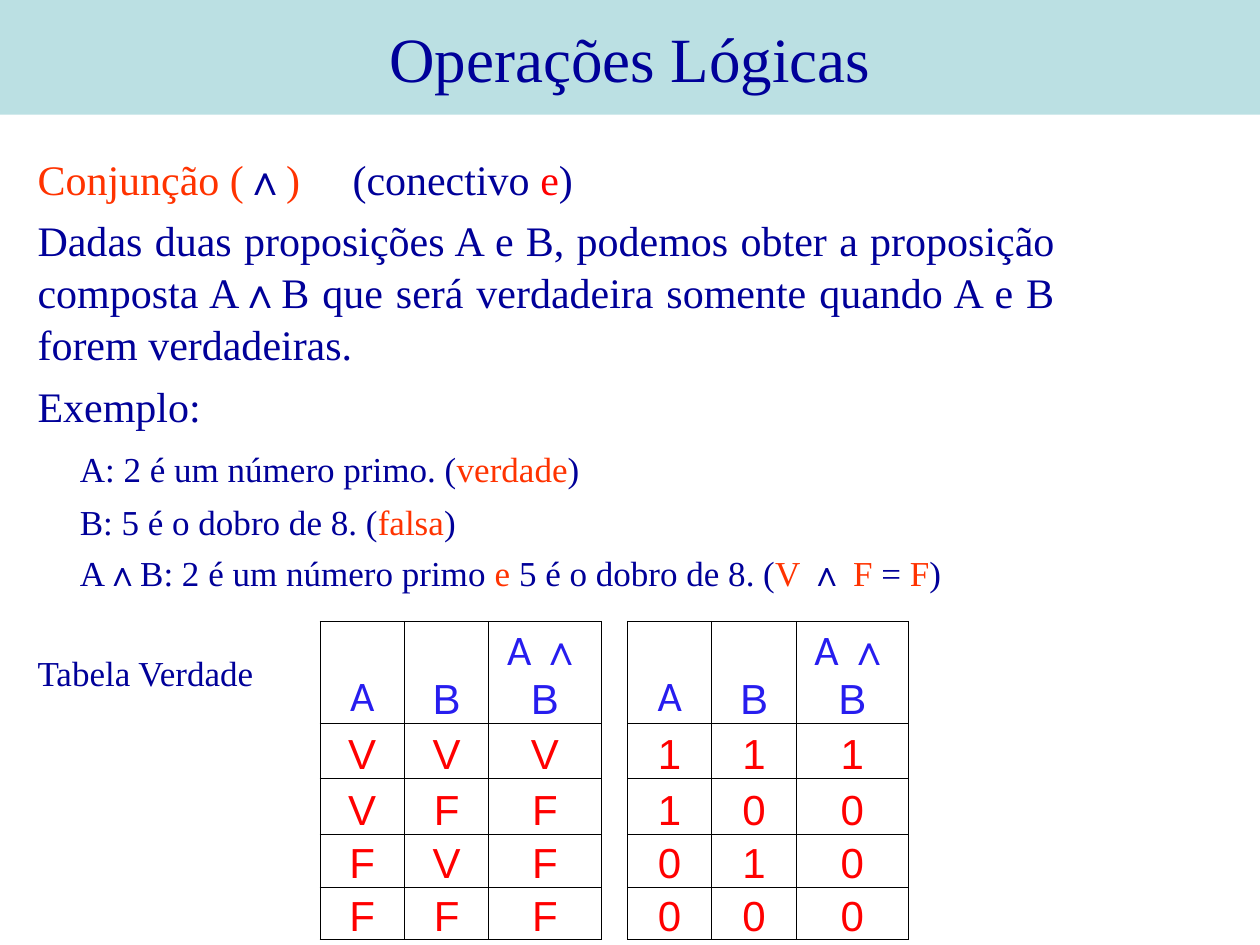
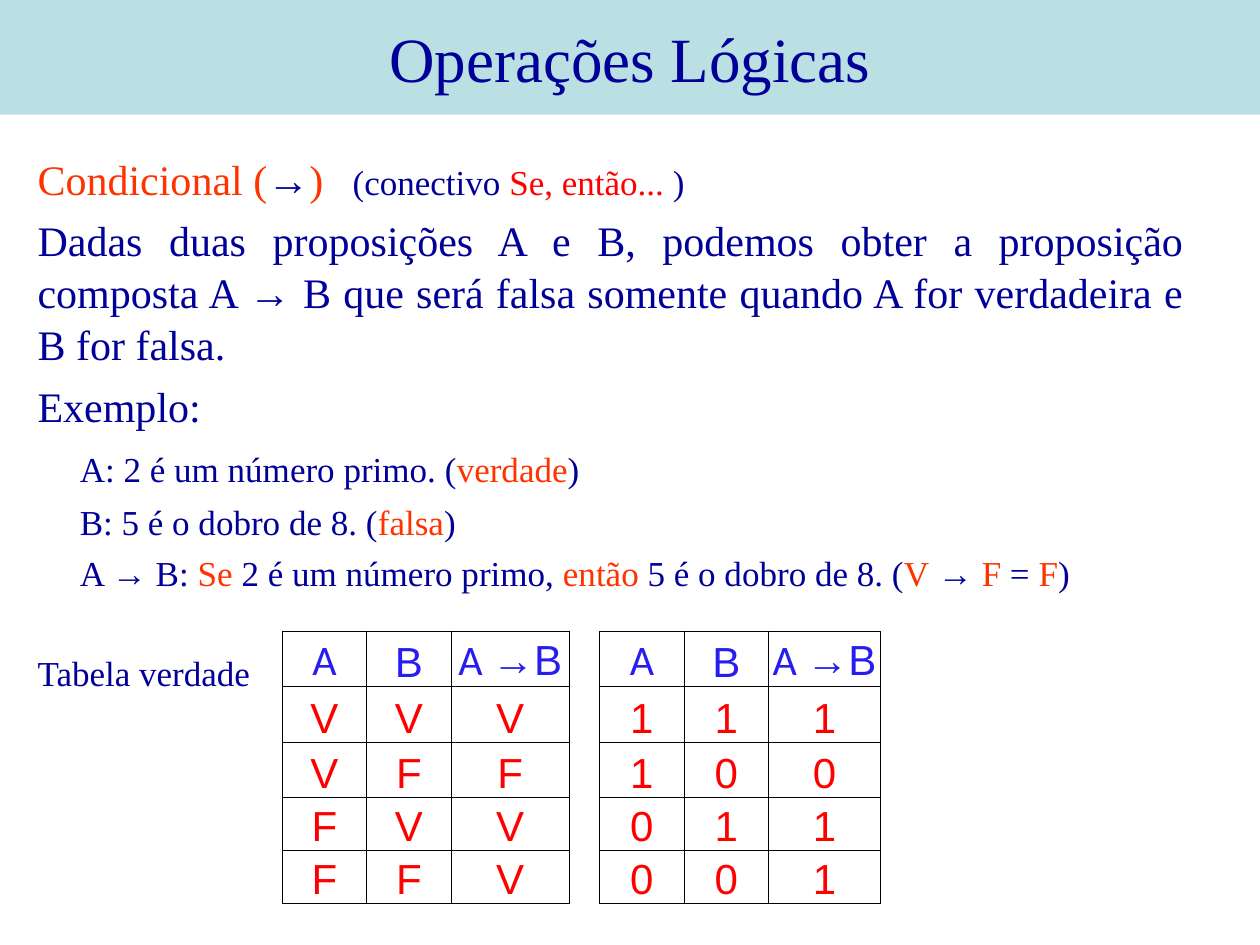
from lxml.etree import SubElement
from pptx import Presentation
from pptx.dml.color import RGBColor
from pptx.enum.shapes import MSO_SHAPE as Shape
from pptx.enum.text import MSO_ANCHOR as Anchor, PP_ALIGN as Align
from pptx.oxml.ns import qn
from pptx.util import Inches, Pt

COLORS = {"band": "BBE0E3", "navy": "000099", "orange": "FF3300",
          "red": "FF0000", "blue": "271DEF", "black": "000000"}
SERIF, SANS, HEAD = "Times New Roman", "Arial", "Calibri"

deck = Presentation()
deck.slide_width, deck.slide_height = Inches(10), Inches(7.5)
UNIT = deck.slide_width / 100  # square grid: 100 columns by 75 rows


def write(paragraph, text, size=24, color="navy", font=SERIF):
    run = paragraph.add_run()
    run.text = text
    run.font.size = Pt(size)
    run.font.name = font
    run.font.color.rgb = RGBColor.from_string(COLORS[color])


def outline(cell):
    for side in ("a:lnL", "a:lnR", "a:lnT", "a:lnB"):
        line = SubElement(cell._tc.get_or_add_tcPr(), qn(side), w=str(Pt(0.5)))
        SubElement(SubElement(line, qn("a:solidFill")), qn("a:srgbClr"), val=COLORS["black"])


# Content of each operation
premises = [
    [("A: 2 é um número primo. (", "navy"), ("verdade", "orange"), (")", "navy")],
    [("B: 5 é o dobro de 8. (", "navy"), ("falsa", "orange"), (")", "navy")],
]
operations = [
    {
        "heading": [("Conjunção (", "orange"), ("∧", "navy"), (")\t", "orange")],
        "connective": [("(conectivo ", "navy"), ("e", "red"), (")", "navy")],
        "connective_size": 24, "connective_at": 24.9,
        "definition": "Dadas duas proposições A e B, podemos obter a proposição composta "
                      "A∧B que será verdadeira somente quando A e B forem verdadeiras.",
        "compound": [("A∧B: 2 é um número primo ", "navy"), ("e", "orange"),
                     (" 5 é o dobro de 8. (", "navy"), ("V", "orange"), (" ∧ ", "navy"),
                     ("F", "orange"), (" = ", "navy"), ("F", "orange"), (")", "navy")],
        "caption": "Tabela Verdade", "formula": "∧ Β", "results": "VFFF",
        "body_size": (82.7, 41.7), "table_top": 49.3,
        "tables": [(25.4, 8.9), (49.8, 8.9)],
    },
    {
        "heading": [("Condicional (", "orange"), ("→", "navy"), (")\t", "orange")],
        "connective": [("(conectivo ", "navy"), ("Se, então... ", "red"), (")", "navy")],
        "connective_size": 20, "connective_at": 26,
        "definition": "Dadas duas proposições A e B, podemos obter a proposição composta "
                      "A → B que será falsa somente quando A for verdadeira e B for falsa.",
        "compound": [("A → B: ", "navy"), ("Se", "orange"), (" 2 é um número primo, ", "navy"),
                     ("então", "orange"), (" 5 é o dobro de 8. (", "navy"), ("V", "orange"),
                     (" → ", "navy"), ("F", "orange"), (" = ", "navy"), ("F", "orange"),
                     (")", "navy")],
        "caption": "Tabela verdade", "formula": "→Β", "results": "VFVV",
        "body_size": (92.9, 44.1), "table_top": 50.1,
        "tables": [(22.4, 9.4), (47.6, 8.9)],
    },
]
ROW_HEIGHTS = [4.4, 4.4, 4.4, 4.2, 4.2]
DIGITS = {"V": "1", "F": "0"}

for operation in operations:
    slide = deck.slides.add_slide(deck.slide_layouts[6])

    # Title band
    band = slide.shapes.add_shape(Shape.RECTANGLE, 0, 0, deck.slide_width, int(9.1 * UNIT))
    band.shadow.inherit = False
    band.fill.solid()
    band.fill.fore_color.rgb = RGBColor.from_string(COLORS["band"])
    band.line.fill.background()
    band.text_frame.vertical_anchor = Anchor.MIDDLE
    title = band.text_frame.paragraphs[0]
    title.alignment = Align.CENTER
    write(title, "Operações Lógicas", size=36)

    # Explanation: runs, size, indent in grid columns, space before in points
    width, height = operation["body_size"]
    body = slide.shapes.add_textbox(int(2 * UNIT), int(11.5 * UNIT),
                                    int(width * UNIT), int(height * UNIT)).text_frame
    body.word_wrap = True
    lines = [
        (operation["heading"], 24, 0, 0),
        ([(operation["definition"], "navy")], 24, 0, 5),
        ([("Exemplo:", "navy")], 24, 0, 5),
        (premises[0], 20, 3.35, 9),
        (premises[1], 20, 3.35, 5),
        (operation["compound"], 20, 3.35, 4.2),
        ([(operation["caption"], "navy")], 20, 0, 32.3),
    ]
    for index, (runs, size, indent, before) in enumerate(lines):
        paragraph = body.add_paragraph() if index else body.paragraphs[0]
        properties = paragraph._p.get_or_add_pPr()
        properties.set("marL", str(int(indent * UNIT)))
        properties.set("indent", "0")
        if index == 0:
            SubElement(SubElement(properties, qn("a:tabLst")), qn("a:tab"),
                       pos=str(int(operation["connective_at"] * UNIT)), algn="l")
        paragraph.alignment = Align.JUSTIFY
        paragraph.line_spacing = 1.04
        paragraph.space_before = Pt(before)
        for text, color in runs:
            write(paragraph, text, size=size, color=color)
    for text, color in operation["connective"]:
        write(body.paragraphs[0], text, size=operation["connective_size"], color=color)

    # Truth tables: letters first, then digits
    header = [[("A", HEAD)], [("B", SANS)], [("A ", HEAD), (operation["formula"], SANS)]]
    letters = [a + b + result for (a, b), result in
               zip(("VV", "VF", "FV", "FF"), operation["results"])]
    digits = [[DIGITS[value] for value in row] for row in letters]
    for (left, last_width), values in zip(operation["tables"], (letters, digits)):
        widths = [6.7, 6.7, last_width]
        truth = slide.shapes.add_table(
            5, 3, int(left * UNIT), int(operation["table_top"] * UNIT),
            int(sum(widths) * UNIT), int(sum(ROW_HEIGHTS) * UNIT)).table
        truth.first_row = truth.horz_banding = False
        for column, column_width in zip(truth.columns, widths):
            column.width = int(column_width * UNIT)
        for row, row_height in zip(truth.rows, ROW_HEIGHTS):
            row.height = int(row_height * UNIT)
        rows = [header] + [[[(value, SANS)] for value in row] for row in values]
        for r, row in enumerate(rows):
            for c, runs in enumerate(row):
                cell = truth.cell(r, c)
                outline(cell)
                cell.fill.background()
                cell.vertical_anchor = Anchor.BOTTOM
                cell.margin_left = cell.margin_right = cell.margin_top = Inches(0.01)
                cell.margin_bottom = 0
                paragraph = cell.text_frame.paragraphs[0]
                paragraph.alignment = Align.CENTER
                for text, font in runs:
                    write(paragraph, text, color="red" if r else "blue", font=font)

deck.save("out.pptx")
